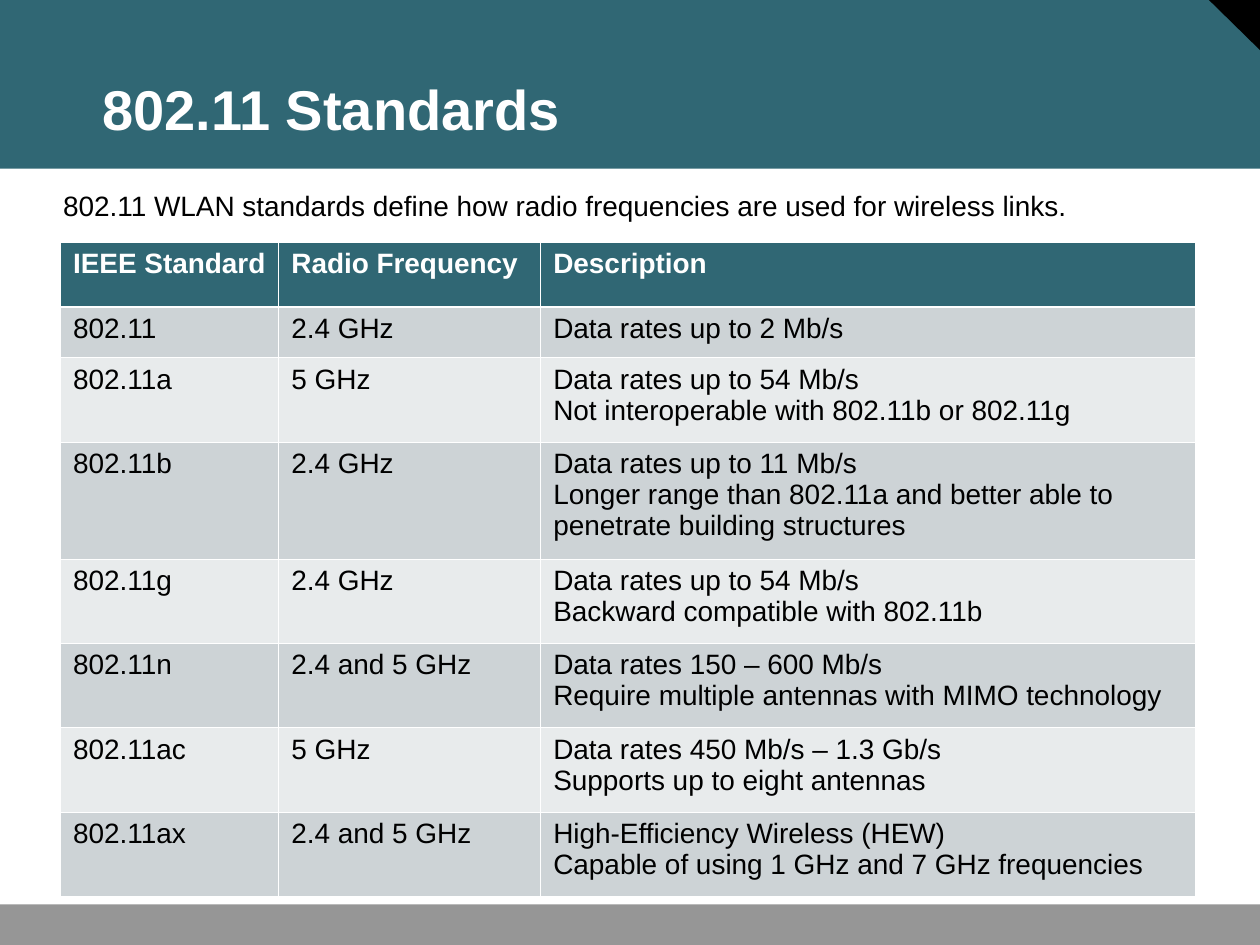
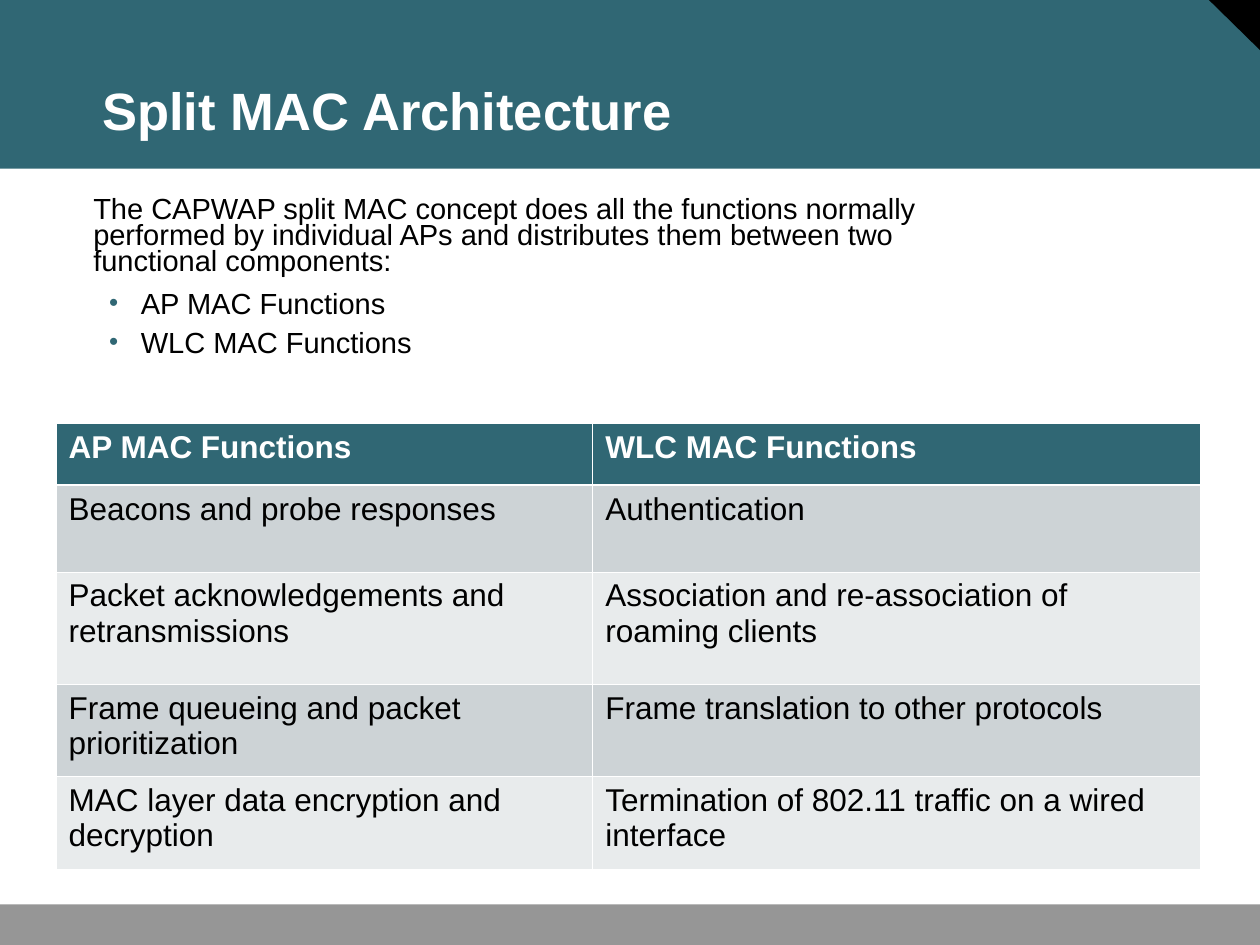
from lxml.etree import SubElement
from pptx import Presentation
from pptx.dml.color import RGBColor
from pptx.enum.shapes import MSO_SHAPE
from pptx.enum.text import MSO_ANCHOR, MSO_AUTO_SIZE, PP_ALIGN
from pptx.oxml import parse_xml
from pptx.oxml.ns import nsdecls, qn
from pptx.util import Cm, Pt

FONT = "Arial"
TEAL, WHITE, BLACK, GREY = "306774", "FFFFFF", "000000", "969696"
ROW_FILLS = ("CDD3D6", "E8EBEC")
THIN, THICK = 0.45, 1.47


def color(hex_code):
    return RGBColor.from_string(hex_code)


def add_bullet(properties):
    clr = SubElement(properties, qn("a:buClr"))
    SubElement(clr, qn("a:srgbClr"), val=TEAL)
    SubElement(properties, qn("a:buSzPct"), val="90000")
    SubElement(properties, qn("a:buFont"), typeface=FONT)
    SubElement(properties, qn("a:buChar"), char="•")


def write(frame, text, size=16, ink=BLACK, bold=False, bullet=False,
          line=1.0, before=0, after=0):
    """Append each line of text to the frame as one formatted paragraph."""
    for content in text.split("\n"):
        first = not frame.paragraphs[0].runs
        paragraph = frame.paragraphs[0] if first else frame.add_paragraph()
        properties = paragraph._p.get_or_add_pPr()
        properties.set("marL", str(Cm(0.96) if bullet else 0))
        properties.set("indent", str(Cm(-0.64) if bullet else 0))
        if bullet:
            paragraph.level = 1
            add_bullet(properties)
        else:
            SubElement(properties, qn("a:buNone"))
        paragraph.alignment = PP_ALIGN.LEFT
        paragraph.line_spacing = line
        paragraph.space_before = Pt(0 if first else before)
        paragraph.space_after = Pt(after)
        run = paragraph.add_run()
        run.text = content
        run.font.name, run.font.size, run.font.bold = FONT, Pt(size), bold
        run.font.color.rgb = color(ink)


def set_borders(cell, top, bottom):
    widths = {"lnL": THIN, "lnR": THIN, "lnT": top, "lnB": bottom}
    for index, (side, width) in enumerate(widths.items()):
        cell._tc.get_or_add_tcPr().insert(index, parse_xml(
            f'<a:{side} {nsdecls("a")} w="{Pt(width)}"><a:solidFill>'
            f'<a:srgbClr val="{WHITE}"/></a:solidFill></a:{side}>'))


class Deck:
    def __init__(self):
        self.prs = Presentation()
        self.prs.slide_width, self.prs.slide_height = Cm(25.4), Cm(19.05)
        self.slide = None

    def start_slide(self, title, size):
        self.slide = self.prs.slides.add_slide(self.prs.slide_layouts[1])
        if len(self.prs.slides) == 1:
            self.add_bands()
        frame = self.place(self.slide.shapes.title, 1.83, 0.64, 22.63, 2.34)
        frame.vertical_anchor = MSO_ANCHOR.BOTTOM
        write(frame, title, size=size, ink=WHITE, bold=True, line=0.9)

    def add_bands(self):
        """Draw the shared bands and move them to the slide master."""
        header = self.band(MSO_SHAPE.RECTANGLE, 0, 0, 25.4, 3.4, TEAL)
        corner = self.band(MSO_SHAPE.RIGHT_TRIANGLE, 24.34, -0.03, 1.06, 1.04, BLACK)
        corner.rotation = 180
        footer = self.band(MSO_SHAPE.RECTANGLE, 0, 18.23, 25.4, 0.84, GREY)
        master_tree = self.prs.slide_master.shapes._spTree
        for index, part in enumerate((header, corner, footer)):
            part._element.nvSpPr.cNvPr.set("id", str(20 + index))
            master_tree.insert(2 + index, part._element)

    def band(self, kind, left, top, width, height, fill):
        shape = self.slide.shapes.add_shape(
            kind, Cm(left), Cm(top), Cm(width), Cm(height))
        shape.shadow.inherit = False
        shape.fill.solid()
        shape.fill.fore_color.rgb = color(fill)
        shape.line.fill.background()
        return shape

    def place(self, holder, left, top, width, height):
        holder.left, holder.top = Cm(left), Cm(top)
        holder.width, holder.height = Cm(width), Cm(height)
        frame = holder.text_frame
        frame.auto_size, frame.word_wrap = MSO_AUTO_SIZE.NONE, True
        frame.margin_left = frame.margin_right = Cm(0.23)
        frame.margin_top = frame.margin_bottom = Cm(0.11)
        return frame

    def body(self, left, top, width, height):
        return self.place(self.slide.placeholders[1], left, top, width, height)

    def table(self, left, top, widths, heights, rows, size):
        grid = self.slide.shapes.add_table(
            len(heights), len(widths), Cm(left), Cm(top),
            Cm(sum(widths)), Cm(sum(heights))).table
        for column, width in zip(grid.columns, widths):
            column.width = Cm(width)
        for r, (height, texts) in enumerate(zip(heights, rows)):
            grid.rows[r].height = Cm(height)
            heading = r == 0
            for c, text in enumerate(texts):
                cell = grid.cell(r, c)
                cell.fill.solid()
                cell.fill.fore_color.rgb = color(
                    TEAL if heading else ROW_FILLS[(r - 1) % 2])
                set_borders(cell, top=THICK if r == 1 else THIN,
                            bottom=THICK if heading else THIN)
                write(cell.text_frame, text, size=size, bold=heading,
                      ink=WHITE if heading else BLACK)


STANDARDS = [
    ("IEEE Standard", "Radio Frequency", "Description"),
    ("802.11", "2.4 GHz", "Data rates up to 2 Mb/s"),
    ("802.11a", "5 GHz",
     "Data rates up to 54 Mb/s\nNot interoperable with 802.11b or 802.11g"),
    ("802.11b", "2.4 GHz",
     "Data rates up to 11 Mb/s\n"
     "Longer range than 802.11a and better able to penetrate building structures"),
    ("802.11g", "2.4 GHz",
     "Data rates up to 54 Mb/s\nBackward compatible with 802.11b"),
    ("802.11n", "2.4 and 5 GHz",
     "Data rates 150 – 600 Mb/s\nRequire multiple antennas with MIMO technology"),
    ("802.11ac", "5 GHz",
     "Data rates 450 Mb/s – 1.3 Gb/s\nSupports up to eight antennas"),
    ("802.11ax", "2.4 and 5 GHz",
     "High-Efficiency Wireless (HEW)\nCapable of using 1 GHz and 7 GHz frequencies"),
]

MAC_FUNCTIONS = [
    ("AP MAC Functions", "WLC MAC Functions"),
    ("Beacons and probe responses", "Authentication"),
    ("Packet acknowledgements and retransmissions",
     "Association and re-association of roaming clients"),
    ("Frame queueing and packet prioritization",
     "Frame translation to other protocols"),
    ("MAC layer data encryption and decryption",
     "Termination of 802.11 traffic on a wired interface"),
]


def main():
    deck = Deck()

    # 802.11 standards
    deck.start_slide("802.11 Standards", size=32)
    intro = deck.body(1.04, 3.73, 22.05, 1.37)
    write(intro, "802.11 WLAN standards define how radio frequencies "
                 "are used for wireless links.", line=0.95)
    deck.table(1.22, 4.88, widths=(4.4, 5.28, 13.2),
               heights=(1.31, 1.02, 1.7, 2.36) + (1.7,) * 4,
               rows=STANDARDS, size=16)

    # Split MAC architecture
    deck.start_slide("Split MAC Architecture", size=30)
    concept = deck.body(1.65, 3.89, 18.77, 4.06)
    write(concept, "The CAPWAP split MAC concept does all the functions normally "
                   "performed by individual APs and distributes them between two "
                   "functional components:", size=16.6, line=0.75, after=6)
    write(concept, "\n".join(MAC_FUNCTIONS[0]), size=16.6, bullet=True,
          line=0.8, before=3, after=3)
    deck.table(1.13, 8.54, widths=(10.82, 12.24),
               heights=(1.24, 1.75, 2.27, 1.86, 1.86),
               rows=MAC_FUNCTIONS, size=18)

    deck.prs.save("out.pptx")


if __name__ == "__main__":
    main()
